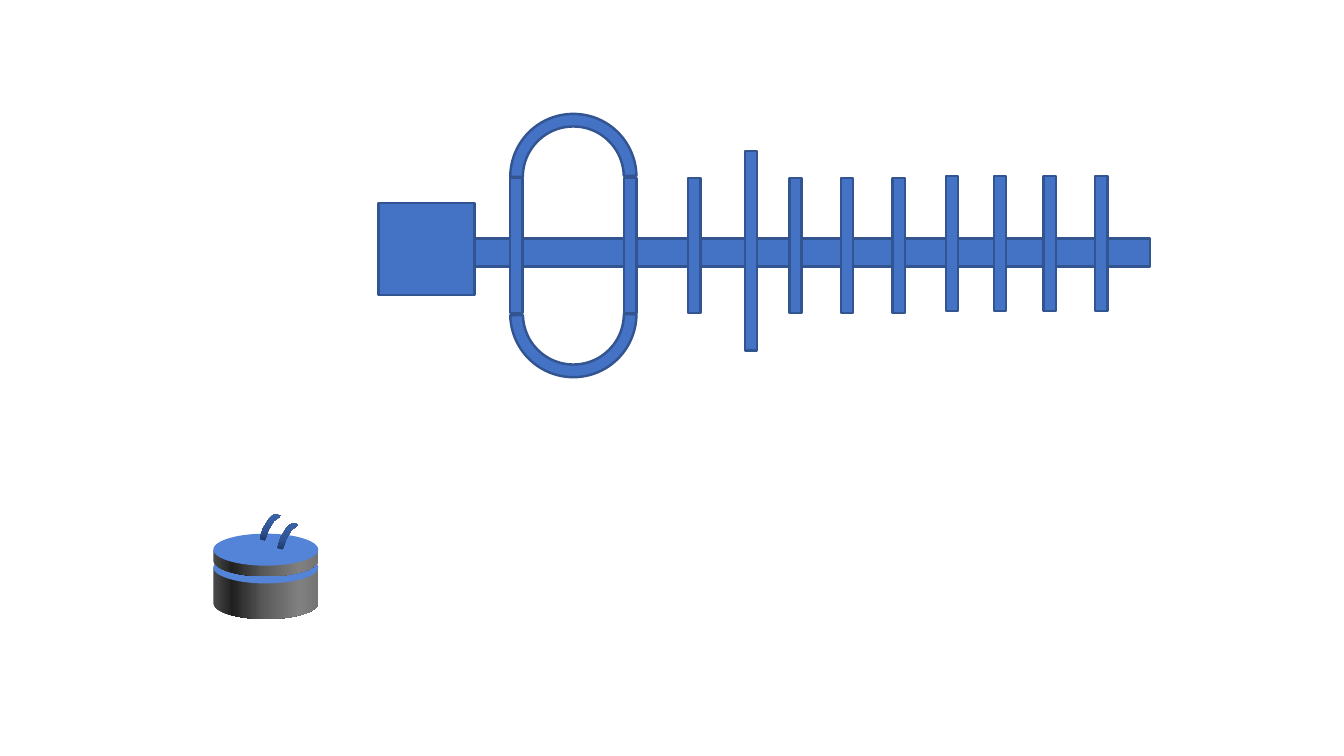
from copy import deepcopy
from dataclasses import dataclass
from math import cos, pi, sin

from pptx import Presentation
from pptx.dml.color import RGBColor as Rgb
from pptx.enum.shapes import MSO_SHAPE as Preset
from pptx.oxml.ns import qn
from pptx.util import Inches, Pt


@dataclass(frozen=True)
class Theme:
    metal: str = "4472C4"
    edge: str = "325491"
    lid: str = "5484D8"
    drum_wall: tuple = ((0, "4A4A4A"), (0.18, "202020"), (0.5, "5C5C5C"),
                        (0.82, "808080"), (1, "747474"))
    wire: tuple = ((0, "1F3864"), (0.4, "2F5597"), (1, "3B62A8"))
    edge_width: float = 1


class AntennaSlide:
    def __init__(self, deck, theme):
        self.theme = theme
        self.shapes = deck.slides.add_slide(deck.slide_layouts[6]).shapes

    def element(self, preset, left, top, width, height, fill=None,
                outlined=True, adjustments=(), rotation=0):
        element = self.shapes.add_shape(preset, Inches(left), Inches(top),
                                        Inches(width), Inches(height))
        element.shadow.inherit = False
        element.rotation = rotation
        for index, value in enumerate(adjustments):
            element.adjustments[index] = value
        element.fill.solid()
        element.fill.fore_color.rgb = Rgb.from_string(fill or self.theme.metal)
        if outlined:
            element.line.color.rgb = Rgb.from_string(self.theme.edge)
            element.line.width = Pt(self.theme.edge_width)
        else:
            element.line.fill.background()

    def bar(self, left, top, width, height):
        self.element(Preset.RECTANGLE, left, top, width, height)

    def outline(self, points, stops, angle):
        start, *rest = [(Inches(x), Inches(y)) for x, y in points]
        builder = self.shapes.build_freeform(*start)
        builder.add_line_segments(rest, close=True)
        body = builder.convert_to_shape()
        body.shadow.inherit = False
        body.line.fill.background()
        body.fill.gradient()
        body.fill.gradient_angle = angle
        stop_list = next(body.element.spPr.iter(qn("a:gsLst")))
        for _ in range(len(stops) - len(stop_list)):
            stop_list.append(deepcopy(stop_list[0]))
        for stop, (position, color) in zip(body.fill.gradient_stops, stops):
            stop.position = position
            stop.color.rgb = Rgb.from_string(color)

    def drum(self, left, top, width, lid_height, wall_height):
        radius, depth = width / 2, lid_height / 2
        middle = top + depth
        steps = 32
        rim = [(left + radius + radius * cos(pi * step / steps),
                middle + wall_height + depth * sin(pi * step / steps))
               for step in range(steps + 1)]
        wall = [(left, middle), (left + width, middle)] + rim
        self.outline(wall, self.theme.drum_wall, 0)
        self.element(Preset.OVAL, left, top, width, lid_height,
                     fill=self.theme.lid, outlined=False)

    def wire(self, left, top):
        bend = [(0, 0.14), (0.02, 0.08), (0.05, 0.03), (0.07, 0.01), (0.09, 0),
                (0.12, 0.01), (0.08, 0.04), (0.05, 0.09), (0.03, 0.15)]
        self.outline([(left + x, top + y) for x, y in bend],
                     self.theme.wire, 90)


def draw_motor(slide):
    drum_left, drum_width, lid_height = 1.2, 0.59, 0.18
    for top, wall_height in ((3.1, 0.2), (3.0, 0.06)):
        slide.drum(drum_left, top, drum_width, lid_height, wall_height)
    for left, top in ((1.46, 2.89), (1.56, 2.94)):
        slide.wire(left, top)


def draw_antenna(slide):
    rod_width, rod_height, rod_top = 0.07, 0.76, 1.0
    slide.bar(2.42, 1.34, 4.05, 0.16)

    loop_left, loop_size = 2.87, 0.71
    for top, rotation in ((0.64, 0), (1.41, 180)):
        slide.element(Preset.BLOCK_ARC, loop_left, top, loop_size, loop_size,
                      adjustments=(108, 215.29, 0.1), rotation=rotation)
    for left in (loop_left, loop_left + loop_size - rod_width):
        slide.bar(left, rod_top, rod_width, rod_height)

    for left in (3.87, 4.44, 4.73, 5.02, 5.32, 5.59, 5.87, 6.16):
        top = rod_top if left < 5.3 else rod_top - 0.01
        slide.bar(left, top, rod_width, rod_height)
    slide.bar(4.19, 0.85, rod_width, 1.12)
    slide.bar(2.13, 1.14, 0.54, 0.52)


def main():
    deck = Presentation()
    deck.slide_width, deck.slide_height = Inches(7.56), Inches(4.25)
    slide = AntennaSlide(deck, Theme())
    draw_motor(slide)
    draw_antenna(slide)
    deck.save("out.pptx")


if __name__ == "__main__":
    main()
